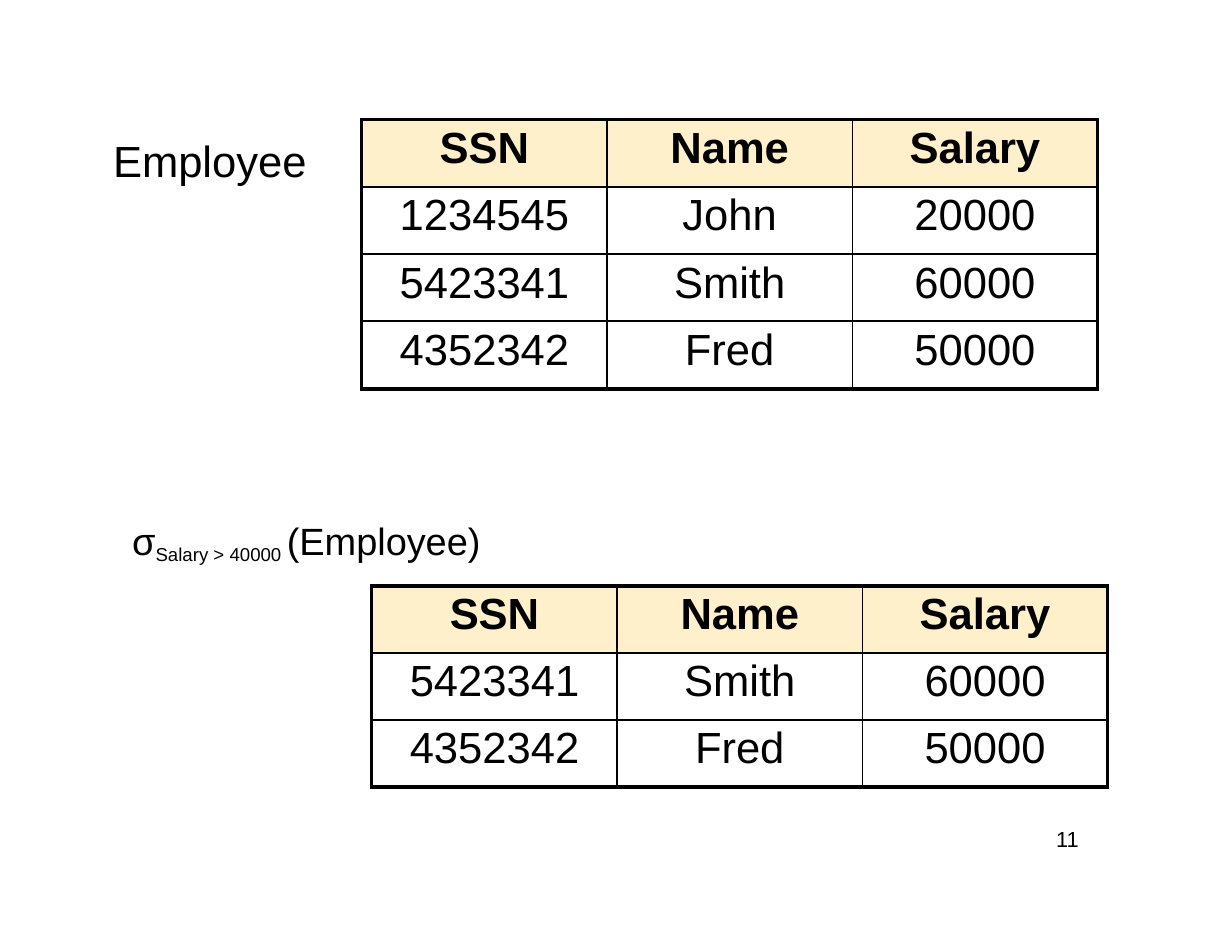
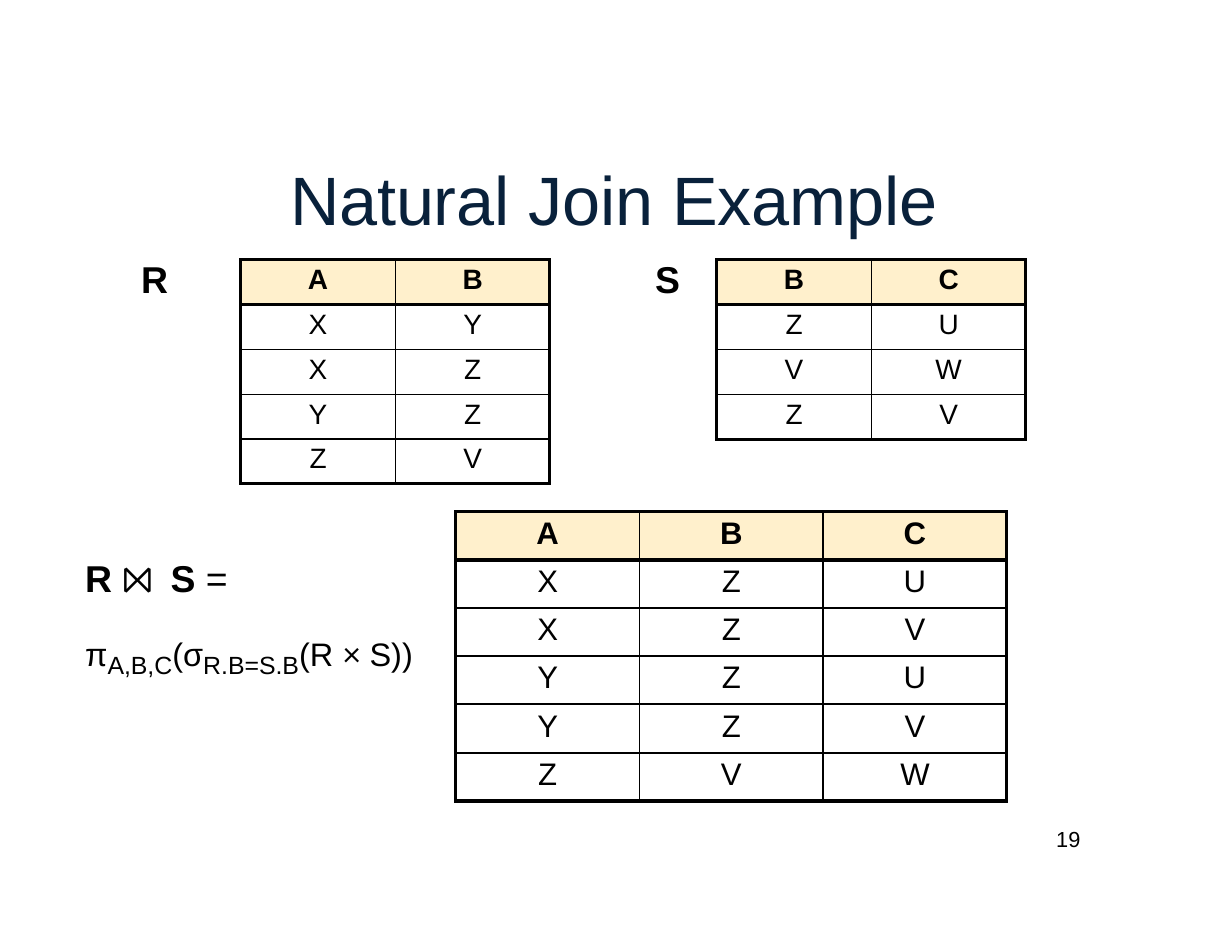
"""Build two slides on relational selection and natural join."""
from dataclasses import dataclass

import lxml.etree
import pptx
import pptx.dml.color
import pptx.enum.text
import pptx.oxml.ns
import pptx.util

Inches = pptx.util.Inches
Pt = pptx.util.Pt
qn = pptx.oxml.ns.qn

FONT = "Arial"
BLACK = "000000"
NAVY = "09213B"
CREAM = "FFF0CC"
SIDE = 2.25
INNER = 1


@dataclass
class Span:
    text: str
    size: float
    bold: bool = False
    raised: int = 0
    face: str = FONT
    gap: float = 0


@dataclass
class Label:
    left: float
    top: float
    width: float
    height: float
    lines: list[list[Span]]
    before: tuple[float, ...] = (1,)
    inset: tuple[float, float] = (0.01, 0.01)
    color: str = BLACK
    pitch: float | None = None


@dataclass
class Rules:
    top: float
    under: float
    inner: float
    foot: float


@dataclass
class Grid:
    left: float
    top: float
    col: float
    row: float
    size: float
    before: float
    rules: Rules
    rows: list[str]


def tint(value: str) -> pptx.dml.color.RGBColor:
    return pptx.dml.color.RGBColor.from_string(value)


def put_span(para, span: Span, mixed: bool) -> None:
    run = para.add_run()
    run.text = span.text
    if mixed:
        run.font.name = span.face
        run.font.size = Pt(span.size)
        run.font.bold = span.bold
    props = run._r.get_or_add_rPr()
    if span.raised:
        props.set("baseline", str(span.raised * 1000))
    if span.gap:
        props.set("spc", str(round(span.gap * 100)))


def put_label(slide, label: Label) -> None:
    box = slide.shapes.add_textbox(Inches(label.left), Inches(label.top),
                                   Inches(label.width), Inches(label.height))
    frame = box.text_frame
    frame.word_wrap = True
    frame.margin_left, frame.margin_top = map(Inches, label.inset)
    frame.margin_right = frame.margin_bottom = 0
    for index, (spans, before) in enumerate(zip(label.lines, label.before)):
        para = frame.add_paragraph() if index else frame.paragraphs[0]
        para.space_before = Pt(before)
        if label.pitch:
            para.line_spacing = Pt(label.pitch)
        first = spans[0]
        para.font.name = FONT
        para.font.color.rgb = tint(label.color)
        if len(spans) == 1:
            para.font.size = Pt(first.size)
            para.font.bold = first.bold
        for span in spans:
            put_span(para, span, len(spans) > 1)


def put_edge(cell, side: str, width: float) -> None:
    line = lxml.etree.SubElement(cell._tc.get_or_add_tcPr(), qn(f"a:ln{side}"),
                                 w=str(Pt(width)))
    fill = lxml.etree.SubElement(line, qn("a:solidFill"))
    lxml.etree.SubElement(fill, qn("a:srgbClr"), val=BLACK)


def put_cell(cell, text: str, grid: Grid, head: bool) -> None:
    cell.margin_left = cell.margin_right = cell.margin_bottom = 0
    cell.margin_top = Inches(0.04)
    if head:
        cell.fill.solid()
        cell.fill.fore_color.rgb = tint(CREAM)
    else:
        cell.fill.background()
    cell.text = text
    para = cell.text_frame.paragraphs[0]
    para.alignment = pptx.enum.text.PP_ALIGN.CENTER
    para.space_before = Pt(grid.before)
    para.font.name = FONT
    para.font.size = Pt(grid.size)
    para.font.bold = head
    para.font.color.rgb = tint(BLACK)


def put_grid(slide, grid: Grid) -> None:
    rows = [row.split() for row in grid.rows]
    high, wide = len(rows), len(rows[0])
    table = slide.shapes.add_table(
        high, wide, Inches(grid.left), Inches(grid.top),
        Inches(grid.col * wide), Inches(grid.row * high)).table
    table.first_row = table.horz_banding = False
    for col in table.columns:
        col.width = Inches(grid.col)
    rules = grid.rules
    edges = [rules.top, rules.under, *[rules.inner] * (high - 2), rules.foot]
    posts = [SIDE, *[INNER] * (wide - 1), SIDE]
    for r, row in enumerate(rows):
        table.rows[r].height = Inches(grid.row)
        for c, text in enumerate(row):
            cell = table.cell(r, c)
            put_edge(cell, "L", posts[c])
            put_edge(cell, "R", posts[c + 1])
            put_edge(cell, "T", edges[r])
            put_edge(cell, "B", edges[r + 1])
            put_cell(cell, text, grid, r == 0)


def page_mark(number: int) -> Label:
    return Label(9.39, 7.38, 0.3, 0.25, [[Span(str(number), 14)]],
                 before=(0,), inset=(0.04, 0), pitch=16.4)


def staff(left: float, top: float, edge: float, rows: list[str]) -> Grid:
    return Grid(left, top, 2.19, 0.6, 28, 2.8, Rules(edge, 1.5, 1.5, 3),
                ["SSN Name Salary", *rows])


def pair(left: float, rows: list[str]) -> Grid:
    return Grid(left, 2.32, 1.38, 0.4, 18, 3.1, Rules(2.25, 2.25, 1, 2.25), rows)


def name_tag(left: float, text: str) -> Label:
    return Label(left, 2.28, 0.27, 0.43, [[Span(text, 24, bold=True)]])


PICKED = ["5423341 Smith 60000", "4352342 Fred 50000"]
SELECT = [Span("σ", 42, raised=9), Span("Salary > 40000 ", 12),
          Span("(Employee)", 42, raised=9)]
JOIN = [Span("R ", 24, bold=True), Span("⨝ ", 24, face="Roboto", gap=2.8),
        Span("S ", 24, bold=True), Span("=", 24)]
PROJECT = [Span("π", 36, raised=14), Span("A,B,C", 16),
           Span("(σ", 36, raised=14), Span("R.B=S.B", 16),
           Span("(R ", 36, raised=14),
           Span("× ", 36, raised=14, face="Lato"), Span("S))", 36, raised=14)]

PAGES = [
    [
        page_mark(11),
        Label(1.14, 4.42, 3.5, 0.5, [SELECT], inset=(0.04, 0.01)),
        staff(3.23, 1.07, 2.25, ["1234545 John 20000", *PICKED]),
        staff(3.32, 5.23, 3, PICKED),
        Label(1, 1.19, 1.8, 0.5, [[Span("Employee", 28)]]),
    ],
    [
        page_mark(19),
        Label(2.58, 1.39, 5.9, 0.76, [[Span("Natural Join Example", 44, gap=-0.1)]],
              before=(0.9,), color=NAVY),
        pair(2.15, ["A B", "X Y", "X Z", "Y Z", "Z V"]),
        pair(6.4, ["B C", "Z U", "V W", "Z V"]),
        Grid(4.07, 4.57, 1.64, 0.43, 20, 3, Rules(2.25, 3, 1.5, 3),
             ["A B C", "X Z U", "X Z V", "Y Z U", "Y Z V", "Z V W"]),
        name_tag(1.25, "R"),
        name_tag(5.84, "S"),
        Label(0.72, 4.78, 3.33, 1.16, [JOIN, PROJECT],
              before=(12.9, 11.9), inset=(0.04, 0.18)),
    ],
]


def main() -> None:
    deck = pptx.Presentation()
    deck.slide_width, deck.slide_height = Inches(11), Inches(8.5)
    for page in PAGES:
        slide = deck.slides.add_slide(deck.slide_layouts[6])
        for item in page:
            if isinstance(item, Grid):
                put_grid(slide, item)
            else:
                put_label(slide, item)
    deck.save("out.pptx")


if __name__ == "__main__":
    main()
